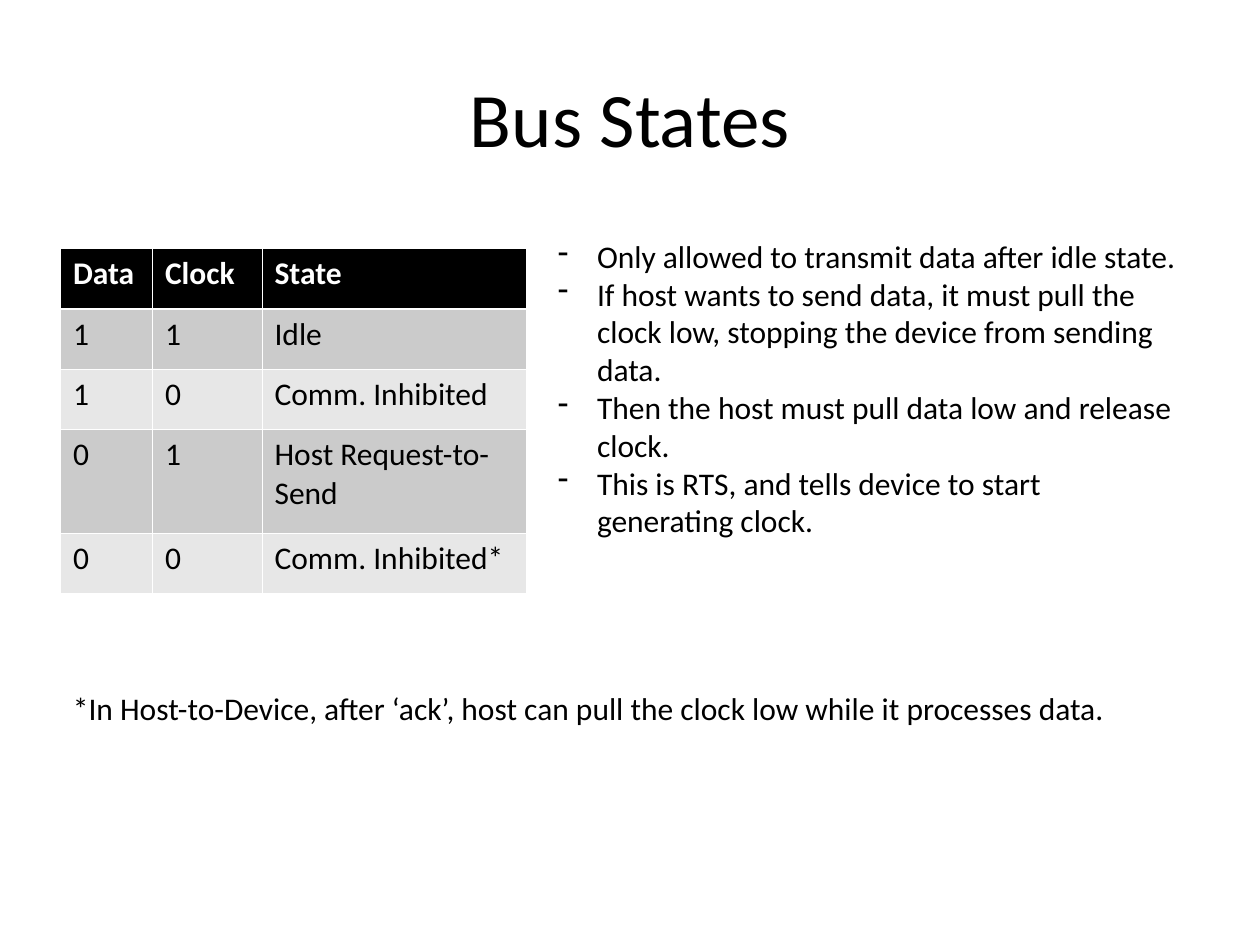
from dataclasses import dataclass

import lxml.etree
import pptx
import pptx.dml.color
import pptx.enum.text
import pptx.oxml.ns
import pptx.util

Inches = pptx.util.Inches
Pt = pptx.util.Pt
Anchor = pptx.enum.text.MSO_ANCHOR
Align = pptx.enum.text.PP_ALIGN
qn = pptx.oxml.ns.qn


@dataclass(frozen=True)
class Theme:
    font: str = "Calibri"
    title_size: int = 44
    body_size: int = 18
    ink: str = "000000"
    paper: str = "FFFFFF"
    bands: tuple = ("CBCBCB", "E7E7E7")
    thin_rule: float = 0.45
    header_rule: float = 1.47


THEME = Theme()

STATES = [
    ("Data", "Clock", "State"),
    ("1", "1", "Idle"),
    ("1", "0", "Comm. Inhibited"),
    ("0", "1", "Host Request-to-Send"),
    ("0", "0", "Comm. Inhibited*"),
]
RULES = [
    "Only allowed to transmit data after idle state.",
    "If host wants to send data, it must pull the clock low, stopping the device from sending data.",
    "Then the host must pull data low and release clock.",
    "This is RTS, and tells device to start generating clock.",
]
FOOTNOTE = "*In Host-to-Device, after ‘ack’, host can pull the clock low while it processes data."


def rgb(value):
    return pptx.dml.color.RGBColor.from_string(value)


def write(frame, lines, size=THEME.body_size, color=THEME.ink, bold=False,
          align=Align.LEFT, anchor=Anchor.TOP, bullet=None, indent=0.31):
    frame.word_wrap = True
    frame.vertical_anchor = anchor
    for number, line in enumerate(lines):
        paragraph = frame.add_paragraph() if number else frame.paragraphs[0]
        paragraph.alignment = align
        run = paragraph.add_run()
        run.text = line
        run.font.name = THEME.font
        run.font.size = Pt(size)
        run.font.bold = bold
        run.font.color.rgb = rgb(color)
        if bullet:
            properties = paragraph._p.get_or_add_pPr()
            properties.set("marL", str(Inches(indent)))
            properties.set("indent", str(-Inches(indent)))
            lxml.etree.SubElement(properties, qn("a:buChar"), char=bullet)


def add_text(slide, box, lines, **style):
    frame = slide.shapes.add_textbox(*map(Inches, box)).text_frame
    write(frame, lines, **style)


def set_borders(cell, **widths):
    properties = cell._tc.get_or_add_tcPr()
    for side in "LRTB":
        width = Pt(widths.get(side, THEME.thin_rule))
        line = lxml.etree.SubElement(properties, qn(f"a:ln{side}"), w=str(width))
        fill = lxml.etree.SubElement(line, qn("a:solidFill"))
        lxml.etree.SubElement(fill, qn("a:srgbClr"), val=THEME.paper)


def add_state_table(slide, box, column_widths, row_heights):
    table = slide.shapes.add_table(
        len(STATES), len(STATES[0]), *map(Inches, box)).table
    for column, width in zip(table.columns, column_widths):
        column.width = Inches(width)
    for row, height in zip(table.rows, row_heights):
        row.height = Inches(height)
    for row_number, values in enumerate(STATES):
        header = row_number == 0
        background = THEME.ink if header else THEME.bands[(row_number - 1) % 2]
        rules = {0: {"B": THEME.header_rule}, 1: {"T": THEME.header_rule}}
        for column_number, value in enumerate(values):
            cell = table.cell(row_number, column_number)
            set_borders(cell, **rules.get(row_number, {}))
            cell.fill.solid()
            cell.fill.fore_color.rgb = rgb(background)
            write(cell.text_frame, [value], bold=header,
                  color=THEME.paper if header else THEME.ink)


def add_bus_states(presentation):
    slide = presentation.slides.add_slide(presentation.slide_layouts[6])
    add_text(slide, (0.5, 0.3, 9, 1.25), ["Bus States"], size=THEME.title_size,
             align=Align.CENTER, anchor=Anchor.MIDDLE)
    add_state_table(slide, (0.48, 1.97, 3.7, 2.74), (0.73, 0.87, 2.1),
                    (0.48, 0.48, 0.48, 0.82, 0.48))
    add_text(slide, (4.33, 1.83, 5.15, 2.81), RULES, bullet="-")
    add_text(slide, (0.48, 5.42, 8.98, 0.4), [FOOTNOTE])


def main():
    presentation = pptx.Presentation()
    presentation.slide_width = Inches(10)
    presentation.slide_height = Inches(7.5)
    add_bus_states(presentation)
    presentation.save("out.pptx")


if __name__ == "__main__":
    main()
